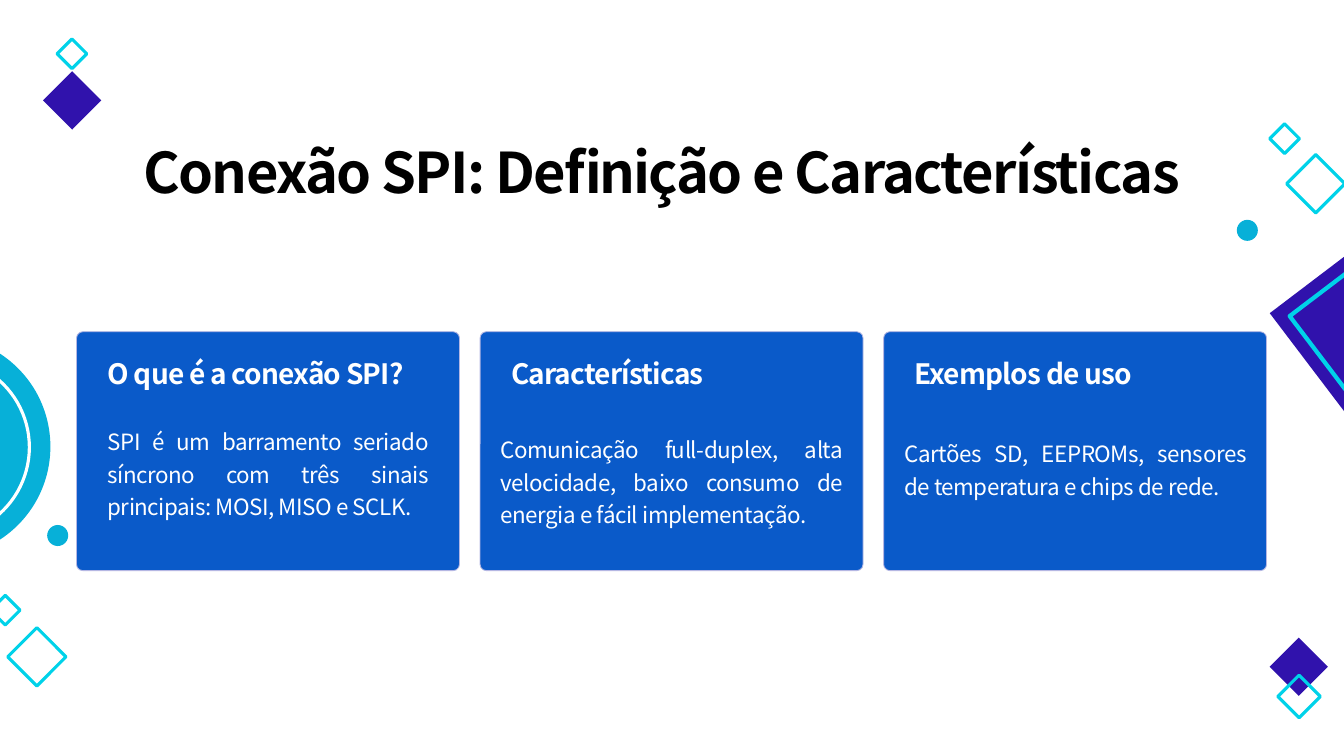
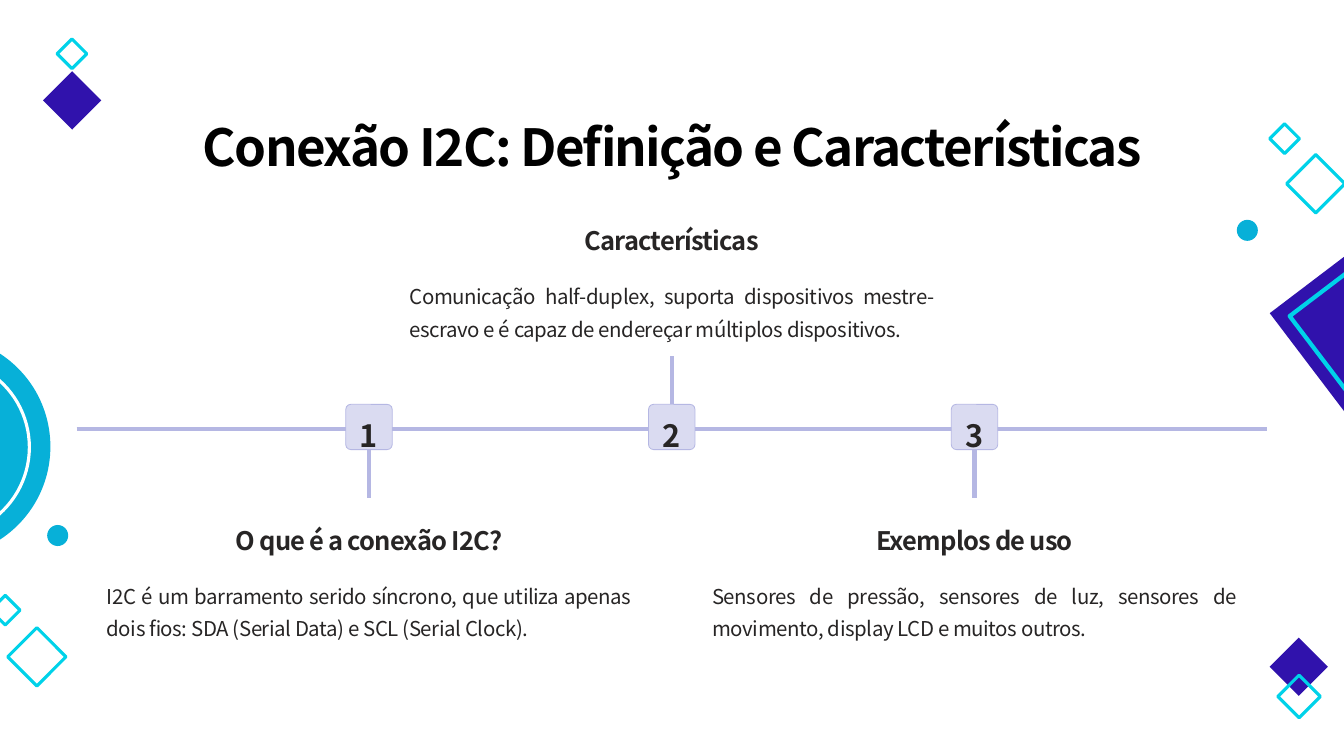
"""Build two slides that compare the SPI and I2C connections."""
from lxml import etree
from pptx import Presentation
from pptx import util as u
from pptx.dml.color import RGBColor
from pptx.enum import shapes, text
from pptx.oxml.ns import qn

COLORS = {
    "black": "000000", "white": "FFFFFF", "ink": "272525",
    "card": "0A5AC9", "lilac": "B5B7E3", "pale": "DADBF1",
    "violet": "3012AC", "cyan": "00D2E9", "sky": "07B0D8",
}
FONT = "Noto Sans CJK JP"
RECTANGLE = shapes.MSO_SHAPE.RECTANGLE
ROUNDED = shapes.MSO_SHAPE.ROUNDED_RECTANGLE
OVAL = shapes.MSO_SHAPE.OVAL
LEFT, CENTER, JUSTIFY = (
    text.PP_ALIGN.LEFT, text.PP_ALIGN.CENTER, text.PP_ALIGN.JUSTIFY)


def add_figure(slide, kind, box, fill=None, line=None, weight=2.25,
               rotation=0, corner=None):
    shape = slide.shapes.add_shape(kind, *[u.Cm(value) for value in box])
    shape.shadow.inherit = False
    shape.rotation = rotation
    if corner is not None:
        shape.adjustments[0] = corner
    if fill:
        shape.fill.solid()
        shape.fill.fore_color.rgb = RGBColor.from_string(COLORS[fill])
    else:
        shape.fill.background()
    if line:
        shape.line.color.rgb = RGBColor.from_string(COLORS[line])
        shape.line.width = u.Pt(weight)
    else:
        shape.line.fill.background()
    return shape


def write_text(wording, slide=None, box=None, shape=None, size=16, leading=23.3,
               color="ink", bold=False, align=LEFT, tracking=-0.3):
    if shape is None:
        shape = slide.shapes.add_textbox(*[u.Cm(value) for value in box])
    frame = shape.text_frame
    frame.word_wrap = True
    frame.vertical_anchor = text.MSO_ANCHOR.TOP
    paragraph = frame.paragraphs[0]
    paragraph.alignment = align
    paragraph.line_spacing = u.Pt(leading)
    run = paragraph.add_run()
    run.text = wording
    run.font.name = FONT
    run.font.size = u.Pt(size)
    run.font.bold = bold
    run.font.color.rgb = RGBColor.from_string(COLORS[color])
    run._r.get_or_add_rPr().set("spc", str(round(tracking * 100)))


presentation = Presentation()
presentation.slide_width = u.Cm(33.87)
presentation.slide_height = u.Cm(19.05)
layout = presentation.slide_layouts[6]
spi_slide = presentation.slides.add_slide(layout)
i2c_slide = presentation.slides.add_slide(layout)

heading_style = dict(leading=22.8, bold=True, tracking=-0.6)
title_style = dict(leading=45.6, color="black", bold=True, align=CENTER, tracking=-1.1)

decorations = [
    (RECTANGLE, 32.69, 6.5, 3.45, "violet", None, 3, 52.8),
    (RECTANGLE, 33.05, 6.86, 2.74, None, "cyan", 3, 52.8),
    (OVAL, -4.32, 8.46, 5.59, "sky", None, 2.25, 0),
    (OVAL, -3.76, 9.02, 4.5, None, "white", 2.25, 0),
    (OVAL, 1.19, 13.23, 0.53, "sky", None, 2.25, 0),
    (OVAL, 31.17, 5.54, 0.53, "sky", None, 2.25, 0),
]
diamonds = [
    (1.55, 1.09, 0.53, None, "cyan"), (32.21, 16.28, 1.04, "violet", None),
    (32.36, 17.17, 0.76, None, "cyan"), (1.3, 2.01, 1.04, "violet", None),
    (0.41, 16.03, 1.04, None, "cyan"), (-0.13, 15.11, 0.53, None, "cyan"),
    (32.64, 4.11, 1.04, None, "cyan"), (32.11, 3.23, 0.53, None, "cyan"),
]
decorations += [(RECTANGLE, *diamond, 2.25, 315) for diamond in diamonds]
for kind, left, top, side, fill, line, weight, rotation in decorations:
    shape = add_figure(spi_slide, kind, (left, top, side, side), fill, line,
                       weight, rotation)
    layout.shapes.element.append(shape.element)

write_text("Conexão SPI: Definição e Características", spi_slide,
           (1.93, 3.43, 29.49, 1.6), size=40, **title_style)

cards = [
    ("O que é a conexão SPI?",
     "SPI é um barramento seriado síncrono com três sinais principais: "
     "MOSI, MISO e SCLK.", 0.53, 10.52, 8.59),
    ("Características",
     "Comunicação full-duplex, alta velocidade, baixo consumo de energia "
     "e fácil implementação.", 0.27, 10.72, 9.12),
    ("Exemplos de uso",
     "Cartões SD, EEPROMs, sensores de temperatura e chips de rede.",
     0.27, 10.82, 9.12),
]
for index, (heading, body, indent, body_top, body_width) in enumerate(cards):
    left = 1.93 + index * 10.17
    add_figure(spi_slide, ROUNDED, (left, 8.36, 9.65, 6.02), "card", "lilac",
               weight=0.6, corner=0.026)
    write_text(heading, spi_slide, (left + 0.53, 8.89, 8.59, 0.8), size=20,
               color="white", **heading_style)
    write_text(body, spi_slide, (left + indent, body_top, body_width, 3),
               color="white", align=JUSTIFY)

write_text("Conexão I2C: Definição e Características", i2c_slide,
           (2.31, 2.72, 29.26, 1.6), size=36.5, **title_style)

connectors = [i2c_slide.shapes.add_connector(
    shapes.MSO_CONNECTOR.STRAIGHT, u.Cm(1.93), u.Cm(10.82), u.Cm(31.93), u.Cm(10.82))]

steps = [
    ("O que é a conexão I2C?",
     "I2C é um barramento serido síncrono, que utiliza apenas dois fios: "
     "SDA (Serial Data) e SCL (Serial Clock).", False),
    ("Características",
     "Comunicação half-duplex, suporta dispositivos mestre-escravo e é capaz "
     "de endereçar múltiplos dispositivos.", True),
    ("Exemplos de uso",
     "Sensores de pressão, sensores de luz, sensores de movimento, "
     "display LCD e muitos outros.", False),
]
marker_width, marker_height, marker_top = 1.17, 1.14, 10.19
column_width = 13.72
for index, (heading, body, above) in enumerate(steps):
    center = 16.93 + (index - 1) * 7.63
    marker = add_figure(
        i2c_slide, ROUNDED,
        (center - marker_width / 2, marker_top, marker_width, marker_height),
        "pale", "lilac", weight=0.6, corner=0.111)
    frame = marker.text_frame
    frame.margin_left = frame.margin_right = frame.margin_bottom = 0
    frame.margin_top = u.Cm(0.23)
    write_text(str(index + 1), shape=marker, size=21.9, leading=27.3,
               bold=True, align=CENTER)

    stem_end = marker_top - 1.22 if above else marker_top + marker_height + 1.22
    stem = i2c_slide.shapes.add_connector(
        shapes.MSO_CONNECTOR.STRAIGHT, u.Cm(center), u.Cm(marker_top),
        u.Cm(center), u.Cm(stem_end))
    stem.begin_connect(marker, 0 if above else 2)
    connectors.append(stem)

    column_left = center - column_width / 2
    heading_top = 5.51 if above else 13.06
    write_text(heading, i2c_slide, (column_left, heading_top, column_width, 0.8),
               size=18.2, align=CENTER, **heading_style)
    write_text(body, i2c_slide, (column_left, heading_top + 1.32, column_width, 1.63),
               size=14.6, align=JUSTIFY)

for connector in connectors:
    connector.line.color.rgb = RGBColor.from_string(COLORS["lilac"])
    connector.line.width = u.Pt(3)
    etree.SubElement(connector.element.spPr, qn("a:effectLst"))

presentation.save("out.pptx")
